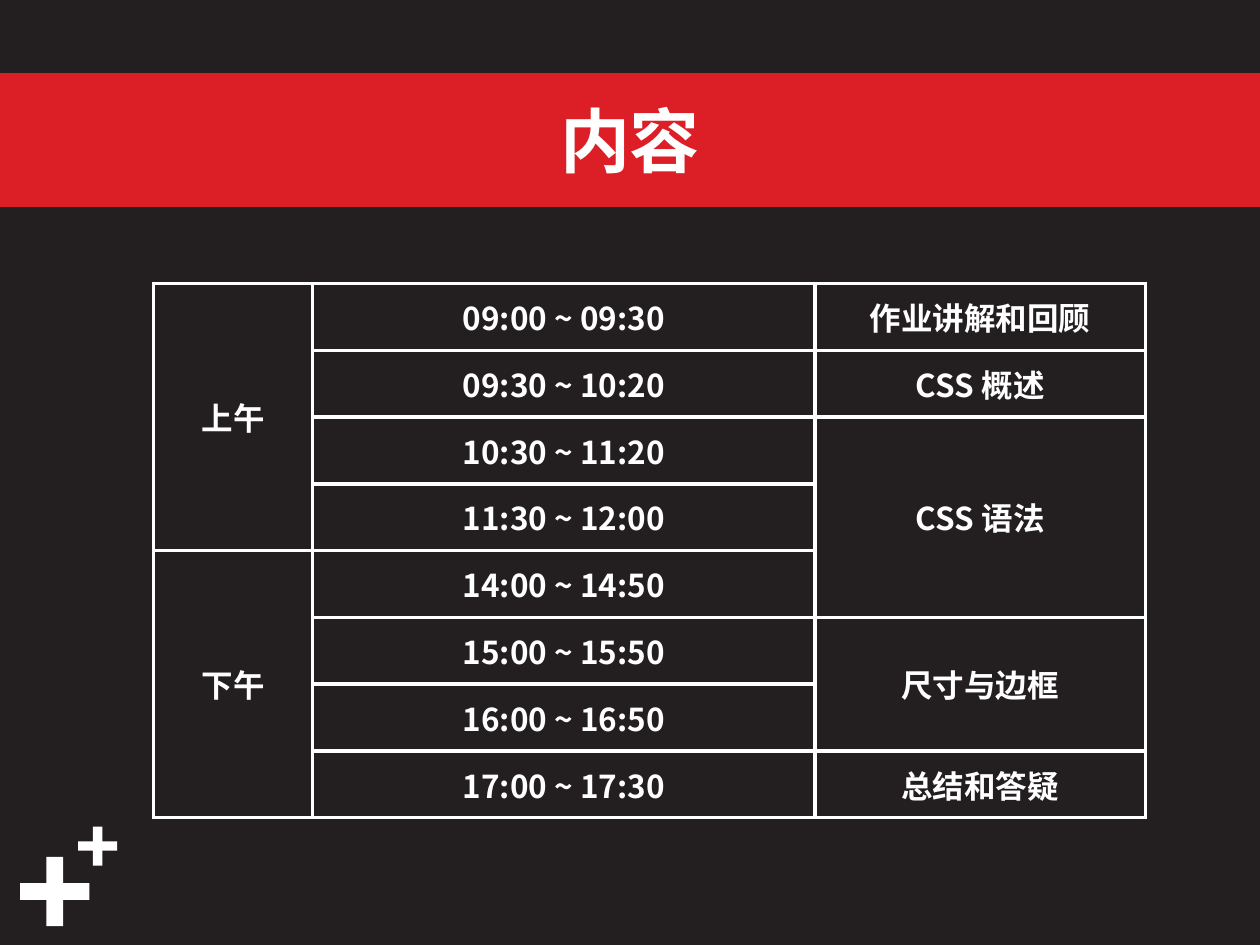
from pptx import Presentation
from pptx.dml.color import RGBColor
from pptx.enum.shapes import MSO_SHAPE as Shape
from pptx.enum.text import MSO_ANCHOR as Anchor, PP_ALIGN as Align
from pptx.oxml import parse_xml
from pptx.oxml.ns import nsdecls
from pptx.util import Inches, Pt

THEME = {
    "back": RGBColor.from_string("231F20"),
    "band": RGBColor.from_string("DC1F26"),
    "ink": RGBColor.from_string("FFFFFF"),
    "font": "Noto Sans CJK SC",
    "title": 40,
    "body": 18,
    "rule": 2.25,
}

TITLE = "内容"
HALVES = [("上午", 4), ("下午", 4)]
TIMES = [(time, 1) for time in (
    "09:00 ~ 09:30", "09:30 ~ 10:20", "10:30 ~ 11:20", "11:30 ~ 12:00",
    "14:00 ~ 14:50", "15:00 ~ 15:50", "16:00 ~ 16:50", "17:00 ~ 17:30",
)]
TOPICS = [("作业讲解和回顾", 1), ("CSS 概述", 1), ("CSS 语法", 3),
          ("尺寸与边框", 2), ("总结和答疑", 1)]
COLUMNS = [(1.26, HALVES), (3.99, TIMES), (2.62, TOPICS)]
PLUSES = [(0.16, 6.8, 0.55), (0.62, 6.56, 0.31)]
LEFT, TOP, ROW = 1.22, 2.25, 0.53


def write(frame, text, size):
    para = frame.paragraphs[0]
    para.alignment = Align.CENTER
    run = para.add_run()
    run.text = text
    font = run.font
    font.name = THEME["font"]
    font.size = Pt(size)
    font.bold = True
    font.color.rgb = THEME["ink"]
    face = parse_xml(f'<a:ea {nsdecls("a")} typeface="{THEME["font"]}"/>')
    run._r.get_or_add_rPr().find("{*}latin").addnext(face)


def add_shape(slide, kind, box, color):
    shape = slide.shapes.add_shape(kind, *map(Inches, box))
    shape.shadow.inherit = False
    shape.fill.solid()
    shape.fill.fore_color.rgb = color
    shape.line.fill.background()
    return shape


def style(cell):
    cell.fill.background()
    cell.vertical_anchor = Anchor.MIDDLE
    props = cell._tc.get_or_add_tcPr()
    for spot, side in enumerate("LRTB"):
        props.insert(spot, parse_xml(
            f'<a:ln{side} {nsdecls("a")} w="{Pt(THEME["rule"])}">'
            f'<a:solidFill><a:srgbClr val="{THEME["ink"]}"/></a:solidFill>'
            f'</a:ln{side}>'))


def add_plan(slide):
    count = len(TIMES)
    width = sum(wide for wide, _ in COLUMNS)
    grid = slide.shapes.add_table(
        count, len(COLUMNS), Inches(LEFT), Inches(TOP),
        Inches(width), Inches(ROW * count)).table
    for row in grid.rows:
        row.height = Inches(ROW)
    for cell in grid.iter_cells():
        style(cell)
    for col, (wide, items) in enumerate(COLUMNS):
        grid.columns[col].width = Inches(wide)
        row = 0
        for text, span in items:
            cell = grid.cell(row, col)
            if span > 1:
                cell.merge(grid.cell(row + span - 1, col))
            write(cell.text_frame, text, THEME["body"])
            row += span


def main():
    deck = Presentation()
    deck.slide_width, deck.slide_height = Inches(10), Inches(7.5)
    slide = deck.slides.add_slide(deck.slide_layouts[6])
    slide.background.fill.solid()
    slide.background.fill.fore_color.rgb = THEME["back"]
    for left, top, size in PLUSES:
        plus = add_shape(slide, Shape.CROSS, (left, top, size, size), THEME["ink"])
        plus.adjustments[0] = 0.38
    band = add_shape(slide, Shape.RECTANGLE, (0, 0.6, 10, 1.02), THEME["band"])
    band.line.color.rgb = THEME["band"]
    band.line.width = Pt(3)
    band.text_frame.vertical_anchor = Anchor.MIDDLE
    write(band.text_frame, TITLE, THEME["title"])
    add_plan(slide)
    deck.save("out.pptx")


if __name__ == "__main__":
    main()
